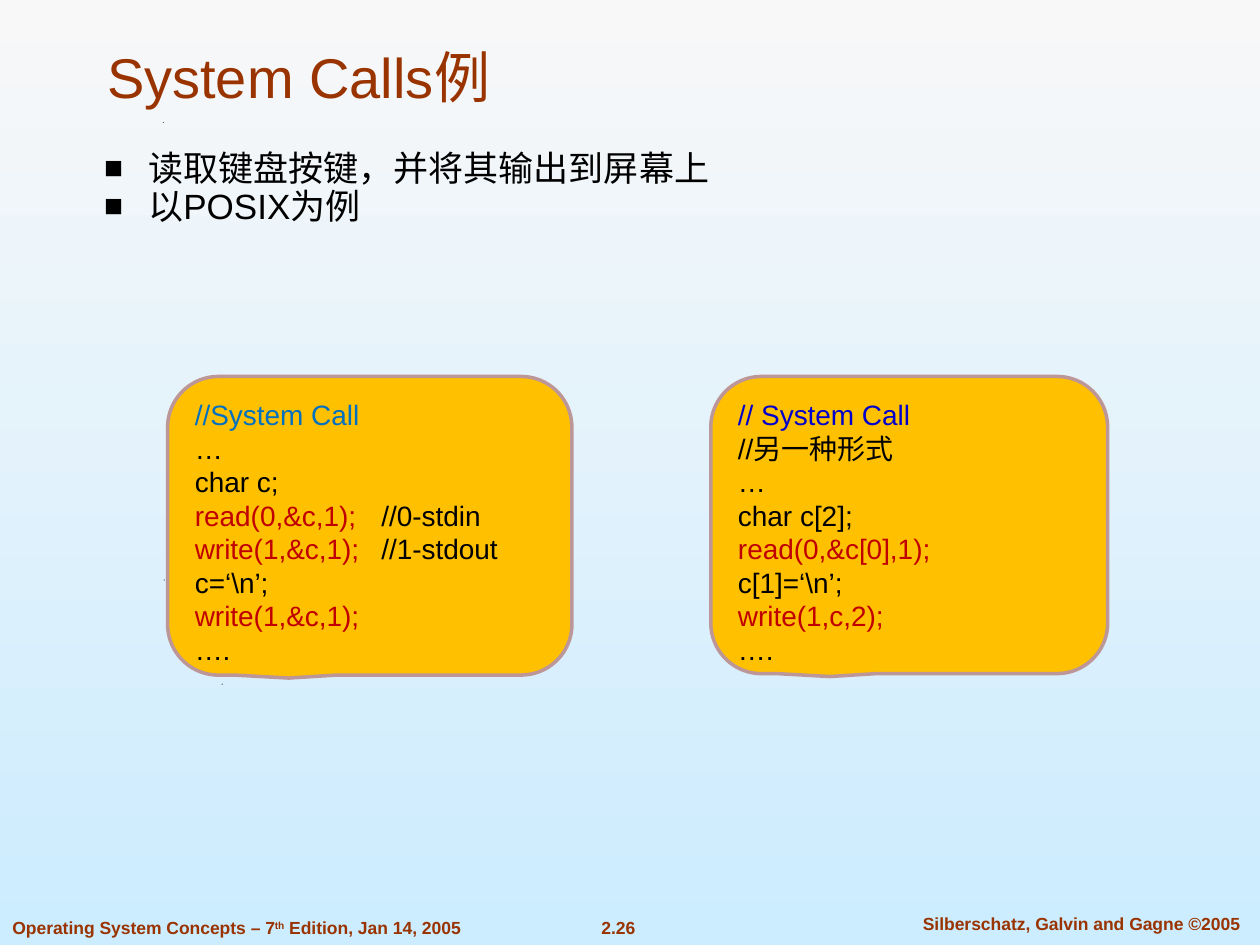
from lxml.etree import SubElement
from pptx import Presentation
from pptx.dml.color import RGBColor
from pptx.enum.shapes import MSO_SHAPE
from pptx.enum.text import MSO_ANCHOR, PP_ALIGN
from pptx.oxml.ns import qn
from pptx.util import Cm, Pt

COLORS = {
    "sky_top": "F8F8F8", "sky_bottom": "CCECFF", "brown": "993300",
    "black": "000000", "card": "FFC000", "border": "BD9797",
    "call": "C00000", "blue": "0070C0", "navy": "0000CC",
}
TITLE = "System Calls例"
POINTS = ["读取键盘按键，并将其输出到屏幕上", "以POSIX为例"]
CARDS = [
    (3.38, 8.15, 6.02, [
        [("//System Call", "blue")],
        [("…", "black")],
        [("char c;", "black")],
        [("read(0,&c,1);", "call"), ("\t//0-stdin", "black")],
        [("write(1,&c,1);", "call"), ("\t//1-stdout", "black")],
        [("c=‘\\n’;", "black")],
        [("write(1,&c,1);", "call")],
        [("….", "black")],
    ]),
    (14.33, 8, 5.99, [
        [("// System Call", "navy")],
        [("//另一种形式", "black")],
        [("…", "black")],
        [("char c[2];", "black")],
        [("read(0,&c[0],1);", "call")],
        [("c[1]=‘\\n’;", "black")],
        [("write(1,c,2);", "call")],
        [("….", "black")],
    ]),
]
CARD_TOP = 7.59
COMMENT_TAB = 3.76
FOOTERS = [
    (0, 18.36, 10.77, PP_ALIGN.LEFT,
     [("Operating System Concepts – 7", 0), ("th", 30000), (" Edition, Jan 14, 2005", 0)]),
    (11.79, 18.36, 1.35, PP_ALIGN.CENTER, [("2.26", 0)]),
    (18.03, 18.29, 7.54, PP_ALIGN.CENTER, [("Silberschatz, Galvin and Gagne ©2005", 0)]),
]
SPECKS = [(4.47, 13.78), (3.3, 11.68), (3.28, 2.46)]


def color(name):
    return RGBColor.from_string(COLORS[name])


def style(run, size, name, bold=False):
    run.font.name = "Arial"
    run.font.size = Pt(size)
    run.font.bold = bold
    run.font.color.rgb = color(name)


def add_text(slide, left, top, width, height):
    frame = slide.shapes.add_textbox(Cm(left), Cm(top), Cm(width), Cm(height)).text_frame
    frame.word_wrap = True
    return frame


def add_bullet(paragraph):
    properties = paragraph._p.get_or_add_pPr()
    properties.set("marL", str(Cm(0.89)))
    properties.set("indent", str(Cm(-0.89)))
    SubElement(properties, qn("a:buSzPct"), val="90000")
    SubElement(properties, qn("a:buFont"), typeface="Arial")
    SubElement(properties, qn("a:buChar"), char="■")


def add_tab(paragraph):
    tabs = SubElement(paragraph._p.get_or_add_pPr(), qn("a:tabLst"))
    SubElement(tabs, qn("a:tab"), pos=str(Cm(COMMENT_TAB)), algn="l")


def add_card(slide, left, width, height, code):
    card = slide.shapes.add_shape(MSO_SHAPE.ROUNDED_RECTANGULAR_CALLOUT,
                                  Cm(left), Cm(CARD_TOP), Cm(width), Cm(height))
    for index, value in enumerate((-0.2, 0.51, 0.17)):
        card.adjustments[index] = value
    card.shadow.inherit = False
    card.fill.solid()
    card.fill.fore_color.rgb = color("card")
    card.line.color.rgb = color("border")
    card.line.width = Pt(2)
    frame = card.text_frame
    frame.vertical_anchor = MSO_ANCHOR.TOP
    frame.text = "\n".join("" for _ in code)
    for paragraph, parts in zip(frame.paragraphs, code):
        paragraph.alignment = PP_ALIGN.LEFT
        if len(parts) > 1:
            add_tab(paragraph)
        for words, name in parts:
            run = paragraph.add_run()
            run.text = words
            style(run, 16, name)


def main():
    deck = Presentation()
    deck.slide_width, deck.slide_height = Cm(25.4), Cm(19.05)
    slide = deck.slides.add_slide(deck.slide_layouts[6])

    sky = slide.background.fill
    sky.gradient()
    sky.gradient_angle = 270
    for stop, position, name in zip(sky.gradient_stops, (0, 1), ("sky_top", "sky_bottom")):
        stop.position = position
        stop.color.rgb = color(name)

    for left, top in SPECKS:
        builder = slide.shapes.build_freeform(Cm(left), Cm(top + 0.02))
        builder.add_line_segments([(Cm(left + 0.02), Cm(top)), (Cm(left + 0.02), Cm(top + 0.02))])
        speck = builder.convert_to_shape()
        speck.shadow.inherit = False
        speck.fill.solid()
        speck.fill.fore_color.rgb = color("black")
        speck.line.fill.background()

    for left, top, width, alignment, parts in FOOTERS:
        frame = add_text(slide, left, top, width, 0.69)
        frame.word_wrap = False
        paragraph = frame.paragraphs[0]
        paragraph.alignment = alignment
        for words, baseline in parts:
            run = paragraph.add_run()
            run.text = words
            style(run, 10, "brown", bold=True)
            if baseline:
                run._r.get_or_add_rPr().set("baseline", str(baseline))

    title = add_text(slide, 1.91, 0.64, 22.43, 1.7)
    title.vertical_anchor = MSO_ANCHOR.BOTTOM
    title.text = TITLE
    style(title.paragraphs[0].runs[0], 32, "brown")

    points = add_text(slide, 1.85, 2.92, 22.25, 2.82)
    points.text = "\n".join(POINTS)
    for paragraph in points.paragraphs:
        paragraph.line_spacing = 0.9
        add_bullet(paragraph)
        style(paragraph.runs[0], 20, "black")

    for card in CARDS:
        add_card(slide, *card)

    deck.save("out.pptx")


if __name__ == "__main__":
    main()
